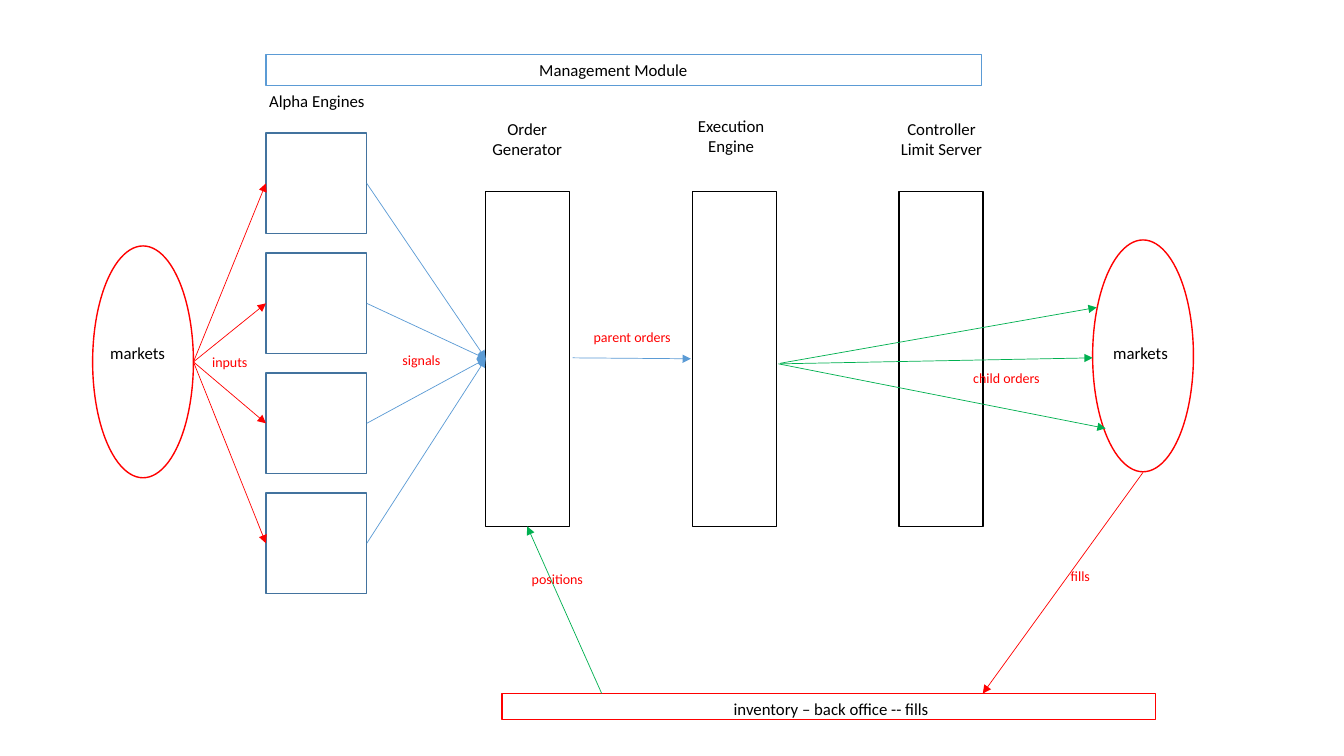
from pptx import Presentation
from pptx import util as u
from pptx.dml.color import RGBColor
from pptx.enum import shapes, text
from pptx.oxml.ns import qn
from lxml import etree

COLORS = {"black": "000000", "white": "FFFFFF", "red": "FF0000",
          "navy": "43739E", "blue": "5B9BD5", "green": "00B050"}
RECT, OVAL = shapes.MSO_SHAPE.RECTANGLE, shapes.MSO_SHAPE.OVAL

prs = Presentation()
prs.slide_width, prs.slide_height = u.Pt(960), u.Pt(540)
s = prs.slides.add_slide(prs.slide_layouts[6])


def add_box(kind, x, y, w, h, line, fill=None):
    sp = s.shapes.add_shape(kind, *map(u.Pt, (x, y, w, h)))
    sp.shadow.inherit = False
    if fill:
        sp.fill.solid()
        sp.fill.fore_color.rgb = RGBColor.from_string(COLORS[fill])
    else:
        sp.fill.background()
    sp.line.color.rgb = RGBColor.from_string(COLORS[line])
    sp.line.width = u.Pt(1)


def add_arrow(start, end, color):
    cx = s.shapes.add_connector(shapes.MSO_CONNECTOR.STRAIGHT,
                                *map(u.Pt, (*start, *end)))
    cx.line.color.rgb = RGBColor.from_string(COLORS[color])
    cx.line.width = u.Pt(0.5)
    etree.SubElement(cx.line._get_or_add_ln(), qn("a:tailEnd"), type="triangle")
    etree.SubElement(cx._element.spPr, qn("a:effectLst"))


# Alpha engines
engine_x, engine_size = 190, 72
engine_tops = [95 + 85.7 * i for i in range(4)]
for y in engine_tops:
    add_box(RECT, engine_x, y, engine_size, engine_size, "navy", "white")

# Order generator, execution engine, controller
for i in range(3):
    add_box(RECT, 347 + 147.6 * i, 137, 60, 239, "black", "white")

# Markets, management module and back office
add_box(OVAL, 66.2, 175.7, 72, 165.6, "red")
add_box(OVAL, 780.5, 171.4, 72, 165.6, "red")
add_box(RECT, engine_x, 38.9, 511.2, 22.3, "blue")
add_box(RECT, 358.6, 495.4, 466.6, 18.7, "red")

# Inputs to the engines and signals from them
for y in engine_tops:
    middle = y + engine_size / 2
    add_arrow((138.2, 258.5), (engine_x, middle), "red")
    add_arrow((engine_x + engine_size, middle), (347, 256.3), "blue")

# Orders, fills and positions
for start, end, color in [
    ((409, 255.6), (493.5, 256.3), "blue"),
    ((557.3, 259.9), (780.5, 255.6), "green"),
    ((557.3, 259.5), (783.4, 219.6), "green"),
    ((556, 259.9), (789.8, 306), "green"),
    ((816.5, 337.4), (702, 495.4), "red"),
    ((429.8, 495.4), (376.6, 376), "green"),
]:
    add_arrow(start, end, color)

# Labels: text, left, top, width, height, size, colour
heading = {"size": 12, "color": "black"}
flow = {"size": 10, "color": "red"}
for words, x, y, w, h, style in [
    ("Management Module", 377.3, 38.9, 121.7, 21.8, heading),
    ("Alpha Engines", 159.1, 61.2, 134.6, 21.8, heading),
    ("Order\nGenerator", 344.2, 81.4, 64.8, 36.3, heading),
    ("Execution\nEngine", 491, 79.2, 62.6, 36.3, heading),
    ("Controller\nLimit Server", 635.8, 81.4, 73.4, 36.3, heading),
    ("markets", 71.3, 241.2, 54, 21.8, heading),
    ("markets", 787.7, 241.2, 54, 21.8, heading),
    ("inventory – back office -- fills", 506.2, 495.4, 175, 21.8, heading),
    ("inputs", 144, 249.1, 40.3, 19.4, flow),
    ("signals", 280.1, 247.7, 41.8, 19.4, flow),
    ("parent orders", 416.2, 231.1, 70.6, 19.4, flow),
    ("child orders", 687.6, 260.3, 62.6, 19.4, flow),
    ("fills", 751.7, 401.8, 40, 19.4, flow),
    ("positions", 372.2, 403.9, 51.8, 19.4, flow),
]:
    tf = s.shapes.add_textbox(*map(u.Pt, (x, y, w, h))).text_frame
    tf.word_wrap = False
    tf.text = words
    for p in tf.paragraphs:
        p.alignment = text.PP_ALIGN.CENTER
        for name, value in {"name": "Calibri", "size": u.Pt(style["size"])}.items():
            setattr(p.font, name, value)
        p.font.color.rgb = RGBColor.from_string(COLORS[style["color"]])

prs.save("out.pptx")
